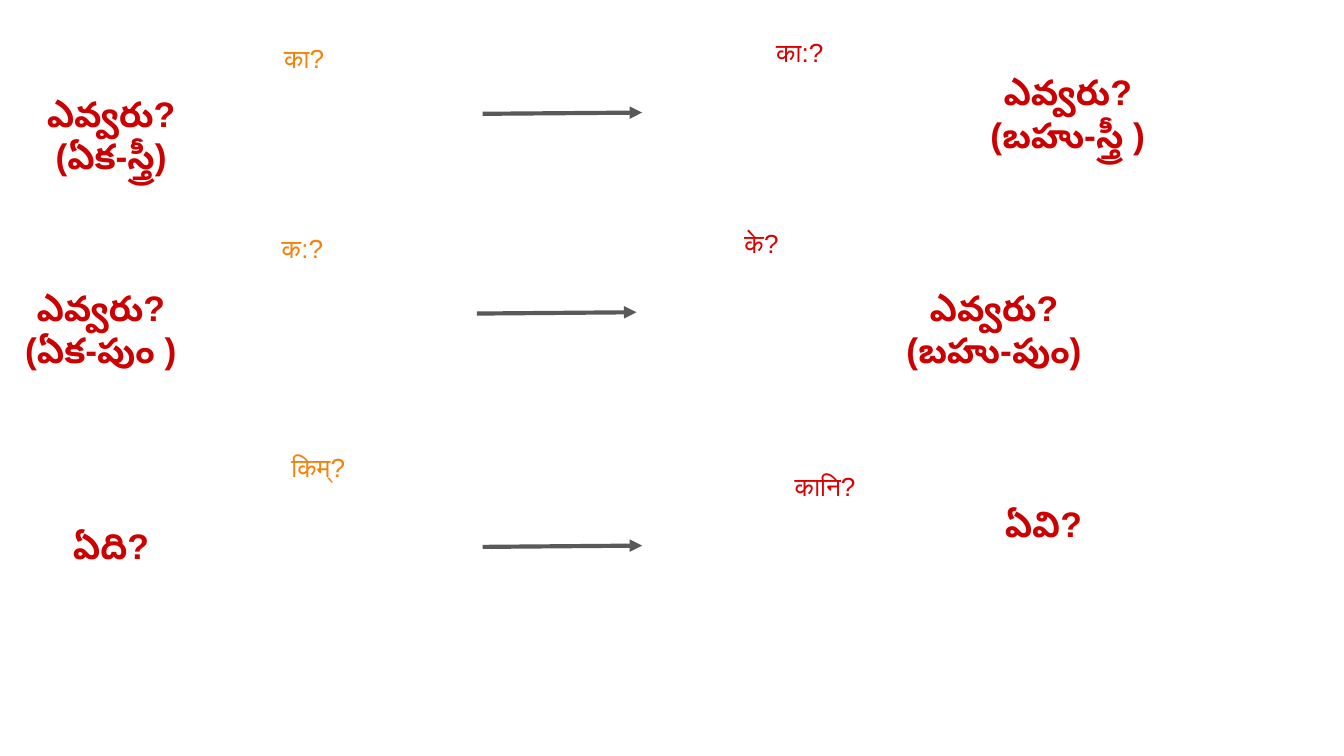
from lxml import etree
from pptx import Presentation
from pptx.dml.color import RGBColor
from pptx.enum import shapes, text
from pptx.oxml.ns import qn
from pptx.util import Pt

ORANGE = RGBColor(0xF4, 0x81, 0x08)
RED = RGBColor(0xDB, 0x00, 0x00)
DARK_RED = RGBColor(0xCC, 0x00, 0x00)
GREY = RGBColor(0x59, 0x59, 0x59)


class Deck:
    """Holds the style and the current slide."""
    font = "Arial"
    word_size, meaning_size, line_width = 14, 19, 2.25

    def __init__(self, width, height):
        self.prs = Presentation()
        self.prs.slide_width, self.prs.slide_height = Pt(width), Pt(height)
        self.s = self.prs.slides.add_slide(self.prs.slide_layouts[6])

    def _text(self, words, box, size, color, bold, inset):
        tf = self.s.shapes.add_textbox(*map(Pt, box)).text_frame
        tf.word_wrap = True
        tf.vertical_anchor = text.MSO_ANCHOR.TOP
        tf.margin_top = tf.margin_bottom = Pt(inset)
        tf.text = words
        p = tf.paragraphs[0]
        p.alignment = text.PP_ALIGN.CENTER
        f = p.runs[0].font
        f.name, f.size, f.bold = self.font, Pt(size), bold
        f.color.rgb = color
        # Indic scripts take the complex-script font
        rPr = p.runs[0]._r.get_or_add_rPr()
        etree.SubElement(rPr, qn("a:cs"), typeface=self.font)

    def word(self, words, box, color):
        self._text(words, box, self.word_size, color, False, 3.6)

    def meaning(self, words, box):
        self._text(words, box, self.meaning_size, DARK_RED, True, 7.2)

    def arrow(self, x, y, length=85.5, rise=0.7):
        sp = self.s.shapes.add_connector(
            shapes.MSO_CONNECTOR.STRAIGHT,
            Pt(x), Pt(y), Pt(x + length), Pt(y - rise))
        sp.line.color.rgb = GREY
        sp.line.width = Pt(self.line_width)
        etree.SubElement(sp.line._get_or_add_ln(), qn("a:tailEnd"), type="triangle")
        etree.SubElement(sp._element.spPr, qn("a:effectLst"))


# Each row: singular word, plural word, arrow start, singular and plural meaning
ROWS = [
    (("का?", (113, 19, 100, 84)), ("का:?", (373, 16, 111, 76)), (258.5, 61),
     ("ఎవ్వరు? (ఏక-స్త్రీ)", (9.5, 42, 100, 60.5)),
     ("ఎవ్వరు? (బహు-స్త్రీ )", (507.5, 30.5, 129, 60.5))),
    (("क:?", (112, 121, 100, 92)), ("के?", (369.5, 118, 77, 106)), (255.5, 168),
     ("ఎవ్వరు? (ఏక-పుం )", (0, 146, 108, 60.5)),
     ("ఎవ్వరు? (బహు-పుం)", (471.5, 146, 122, 60.5))),
    (("किम्?", (112, 238.5, 117, 92)), ("कानि?", (373, 248.5, 138, 75)), (258.5, 293),
     ("ఏది?", (9.5, 273.5, 100, 37.5)),
     ("ఏవి?", (507.5, 262, 103, 37.5))),
]


def main():
    deck = Deck(720, 405)
    for singular, plural, start, one, many in ROWS:
        # Sanskrit question words
        deck.word(*singular, ORANGE)
        deck.word(*plural, RED)
        # Singular to plural
        deck.arrow(*start)
        # Telugu meanings
        deck.meaning(*one)
        deck.meaning(*many)
    deck.prs.save("out.pptx")


if __name__ == "__main__":
    main()
